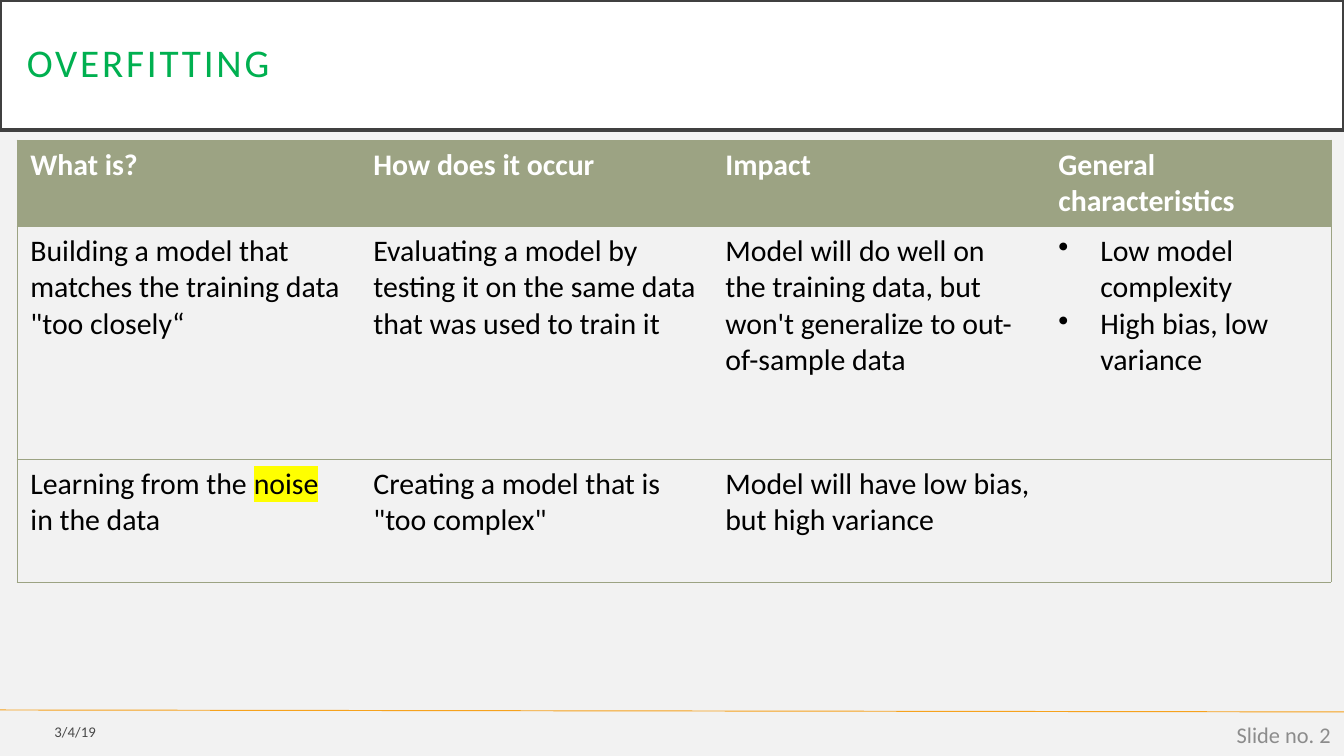
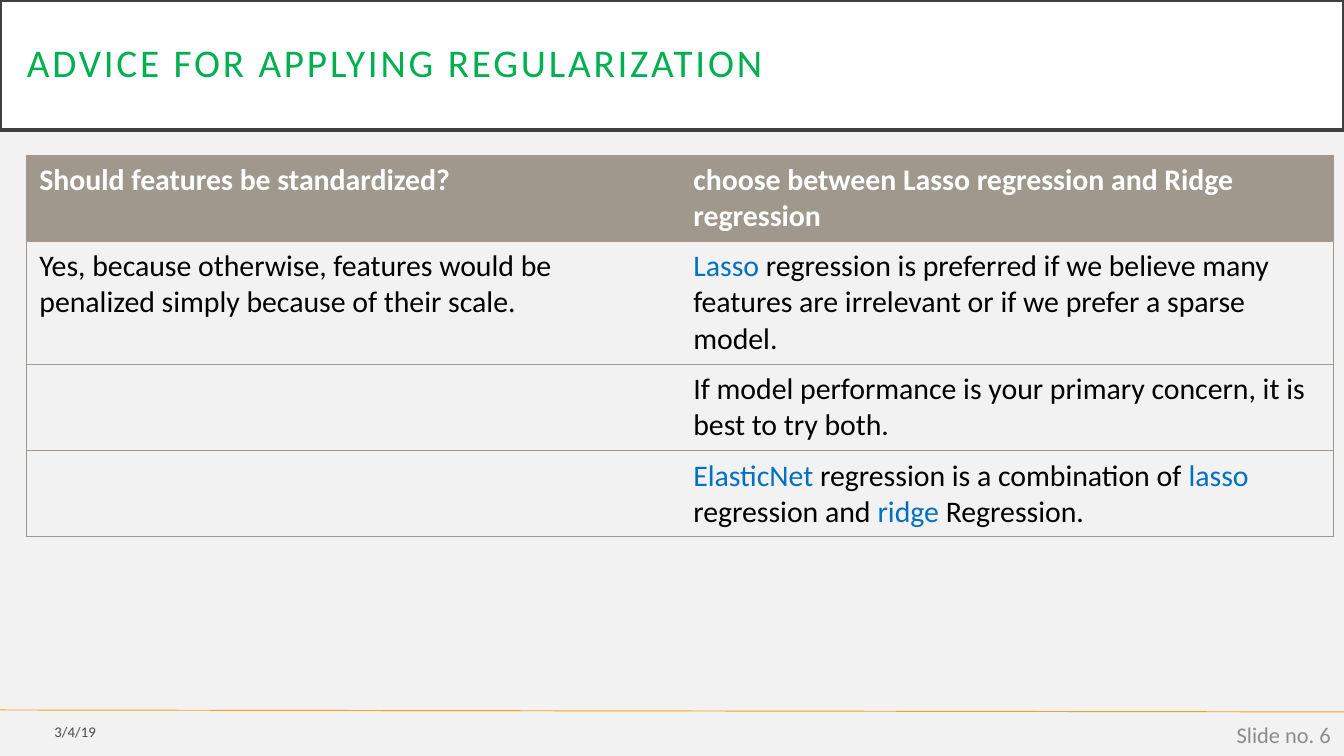
from dataclasses import dataclass
from typing import NamedTuple, Union

import lxml.etree
import pptx
import pptx.dml.color
import pptx.enum.shapes
import pptx.enum.text
import pptx.oxml.ns
import pptx.util

SCALE = 914400 / 134.4  # EMU in one px
WIDE, HIGH = 1344, 756
FONT = "Calibri"
PLAIN = "{2D5ABB26-0587-4C30-8999-92F81FD0307C}"  # table style without grid
COLORS = {
    "back": "F2F2F2",
    "band": "FFFFFF",
    "edge": "404040",
    "title": "00B050",
    "rule": "F6A21D",
    "number": "8C8C8C",
    "text": "000000",
    "head": "FFFFFF",
    "term": "0070C0",
    "mark": "FFFF00",
    "olive": "9CA383",
    "taupe": "A0988C",
}
ALIGN = pptx.enum.text.PP_ALIGN
MIDDLE = pptx.enum.text.MSO_ANCHOR.MIDDLE


class Run(NamedTuple):
    text: str
    color: str = ""
    mark: str = ""


Text = Union[str, list[Run]]


@dataclass
class Grid:
    left: int
    top: int
    color: str
    cols: list[int]
    rows: list[int]
    cells: list[list[Text]]


@dataclass
class Page:
    title: str
    number: int
    grid: Grid


def px(value: float) -> int:
    return round(value * SCALE)


def rgb(name: str) -> pptx.dml.color.RGBColor:
    return pptx.dml.color.RGBColor.from_string(COLORS[name])


def add(parent, tag: str, **attrs: str):
    return lxml.etree.SubElement(parent, pptx.oxml.ns.qn(tag), attrs)


def write(frame, text: Text, *, size: float, color: str = "text", bold: bool = False,
          align=ALIGN.LEFT, space: float = 1, track: int = 0, alpha: int = 100,
          bullet: bool = False) -> None:
    """Fill a text frame; each line of a plain string is a paragraph."""
    lines = [[Run(line)] for line in text.split("\n")] if isinstance(text, str) else [text]
    for i, line in enumerate(lines):
        para = frame.add_paragraph() if i else frame.paragraphs[0]
        para.alignment, para.line_spacing = align, space
        if bullet:
            props = para._p.get_or_add_pPr()
            props.set("marL", str(px(42)))
            props.set("indent", str(px(-42)))
            add(props, "a:buChar", char="•")
        for part in line:
            run = para.add_run()
            run.text = part.text
            font = run.font
            font.name, font.bold = FONT, bold
            font.size = pptx.util.Pt(size)
            font.color.rgb = rgb(part.color or color)
            props = run._r.get_or_add_rPr()
            fill = props.find(pptx.oxml.ns.qn("a:solidFill"))
            if track:
                props.set("spc", str(track))
            if alpha < 100:
                add(fill[0], "a:alpha", val=str(alpha * 1000))
            if part.mark:
                glow = add(props, "a:highlight")
                add(glow, "a:srgbClr", val=COLORS[part.mark])
                fill.addnext(glow)


def label(slide, left: int, top: int, width: int, height: int, text: str, **style) -> None:
    frame = slide.shapes.add_textbox(px(left), px(top), px(width), px(height)).text_frame
    frame.word_wrap = True
    frame.vertical_anchor = MIDDLE
    write(frame, text, align=ALIGN.RIGHT, **style)


def frame_up(slide, page: Page) -> None:
    """Draw what all slides share: background, rule, title band, footer."""
    fill = slide.background.fill
    fill.solid()
    fill.fore_color.rgb = rgb("back")

    # Footer rule
    rule = slide.shapes.add_connector(
        pptx.enum.shapes.MSO_CONNECTOR.STRAIGHT, 0, px(710), px(WIDE), px(712))
    rule.line.color.rgb = rgb("rule")
    rule.line.width = pptx.util.Pt(0.5)
    add(rule._element.spPr, "a:effectLst")

    # Title band
    band = slide.shapes.add_shape(
        pptx.enum.shapes.MSO_SHAPE.RECTANGLE, 0, 0, px(WIDE), px(130))
    band.shadow.inherit = False
    band.fill.solid()
    band.fill.fore_color.rgb = rgb("band")
    band.line.color.rgb = rgb("edge")
    band.line.width = pptx.util.Pt(2.5)
    frame = band.text_frame
    frame.word_wrap = True
    frame.vertical_anchor = MIDDLE
    frame.margin_left = frame.margin_right = px(27)
    frame.margin_top = frame.margin_bottom = px(27)
    write(frame, page.title, size=21, color="title", space=0.9, track=150)

    # Date and slide number
    label(slide, 0, 714, 109, 36, "3/4/19", size=7.9, alpha=70)
    label(slide, 1042, 715, 302, 40, f"Slide no. {page.number}", size=12, color="number")


def border(cell, sides: str, color: str) -> None:
    props = cell._tc.get_or_add_tcPr()
    for side in sides:
        line = add(props, f"a:ln{side}", w=str(pptx.util.Pt(0.5)))
        add(add(line, "a:solidFill"), "a:srgbClr", val=COLORS[color])


def draw(slide, grid: Grid) -> None:
    table = slide.shapes.add_table(
        len(grid.rows), len(grid.cols), px(grid.left), px(grid.top),
        px(sum(grid.cols)), px(sum(grid.rows))).table
    table.horz_banding = False
    table._tbl.tblPr.find(pptx.oxml.ns.qn("a:tableStyleId")).text = PLAIN
    for col, width in zip(table.columns, grid.cols):
        col.width = px(width)
    for row, height in zip(table.rows, grid.rows):
        row.height = px(height)

    last = len(grid.cols) - 1
    for r, texts in enumerate(grid.cells):
        for c, text in enumerate(texts):
            cell = table.cell(r, c)
            border(cell, "L" * (c == 0) + "R" * (c == last) + "TB", grid.color)
            if r == 0:
                cell.fill.solid()
                cell.fill.fore_color.rgb = rgb(grid.color)
            else:
                cell.fill.background()
            if text:
                write(cell.text_frame, text, size=16, bold=r == 0,
                      color="text" if r else "head", bullet="\n" in text)


PAGES = [
    Page("OVERFITTING", 2, Grid(
        17, 140, "olive", [343, 352, 333, 286], [86, 233, 123], [
            ["What is?", "How does it occur", "Impact", "General characteristics"],
            ["Building a model that matches the training data \"too closely“",
             "Evaluating a model by testing it on the same data that was used to train it",
             "Model will do well on the training data, but won't generalize to "
             "out-of-sample data",
             "Low model complexity\nHigh bias, low variance"],
            [[Run("Learning from the "), Run("noise", mark="mark"), Run(" in the data")],
             "Creating a model that is \"too complex\"",
             "Model will have low bias, but high variance",
             ""],
        ])),
    Page("ADVICE FOR APPLYING REGULARIZATION", 6, Grid(
        26, 155, "taupe", [654, 654], [86, 123, 87, 86], [
            ["Should features be standardized?",
             "choose between Lasso regression and Ridge regression"],
            ["Yes, because otherwise, features would be penalized simply because "
             "of their scale.",
             [Run("Lasso", "term"),
              Run(" regression is preferred if we believe many features are irrelevant "
                  "or if we prefer a sparse model.")]],
            ["", "If model performance is your primary concern, it is best to try both."],
            ["", [Run("ElasticNet", "term"), Run(" regression is a combination of "),
                  Run("lasso", "term"), Run(" regression and "),
                  Run("ridge", "term"), Run(" Regression.")]],
        ])),
]


def main() -> None:
    deck = pptx.Presentation()
    deck.slide_width, deck.slide_height = px(WIDE), px(HIGH)
    for page in PAGES:
        slide = deck.slides.add_slide(deck.slide_layouts[6])
        frame_up(slide, page)
        draw(slide, page.grid)
    deck.save("out.pptx")


if __name__ == "__main__":
    main()
